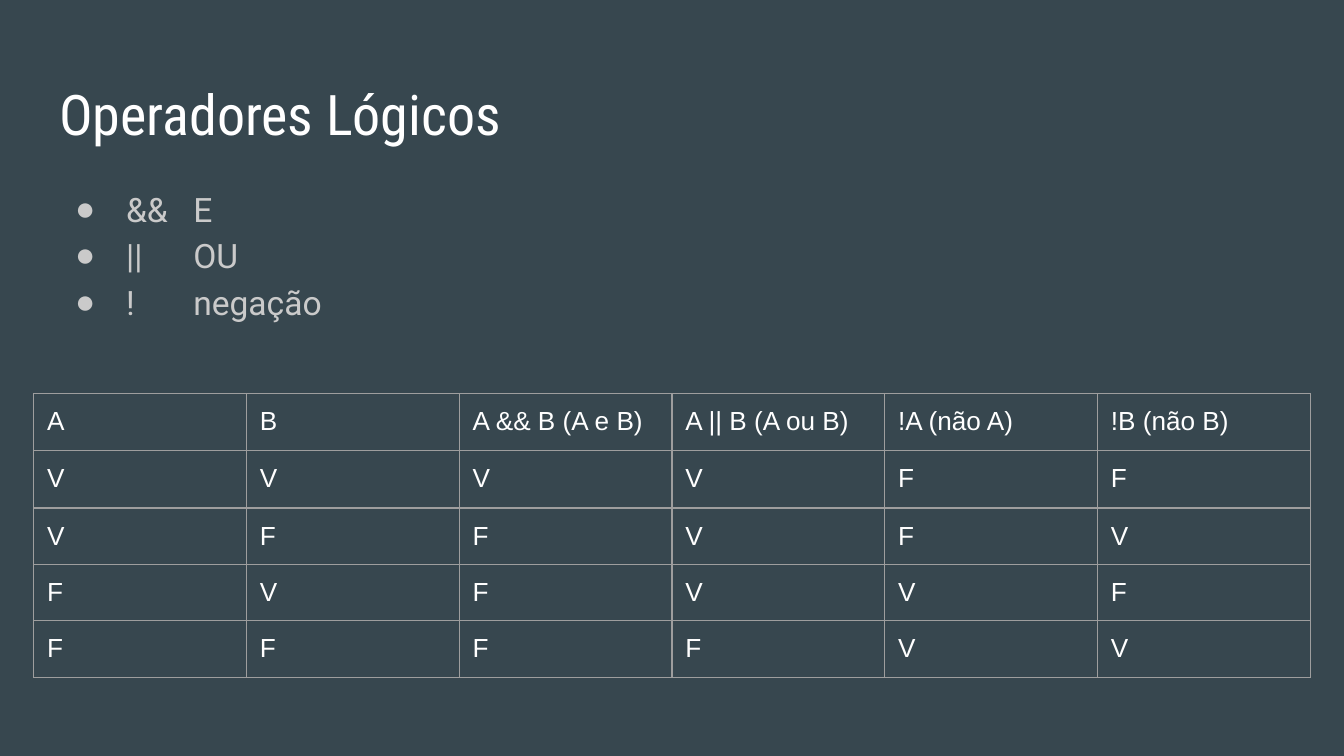
from dataclasses import dataclass
from itertools import product

from lxml.etree import SubElement
from pptx import Presentation
from pptx.dml.color import RGBColor
from pptx.enum.text import MSO_ANCHOR, MSO_AUTO_SIZE, PP_ALIGN
from pptx.oxml.ns import qn
from pptx.util import Inches, Pt


@dataclass(frozen=True)
class Theme:
    background: str = "37474F"
    light: str = "FFFFFF"
    muted: str = "CACACA"
    border: str = "9E9E9E"
    title_font: str = "Roboto Condensed"
    body_font: str = "Roboto"
    bullet_font: str = "Arial"
    table_font: str = "Arial"
    title_size: int = 30
    body_size: int = 18
    table_size: int = 14
    border_width: float = 0.75


theme = Theme()


def style_paragraph(para, font, size, color):
    para.alignment = PP_ALIGN.LEFT
    for span in para.runs:
        span.font.name = font
        span.font.size = Pt(size)
        span.font.color.rgb = RGBColor.from_string(color)


def set_frame(frame):
    frame.word_wrap = True
    frame.auto_size = MSO_AUTO_SIZE.NONE
    frame.vertical_anchor = MSO_ANCHOR.TOP
    frame.margin_left = frame.margin_right = Inches(0.1)
    frame.margin_top = frame.margin_bottom = Inches(0.1)


# Deck and page, in 16:9
deck = Presentation()
deck.slide_width = Inches(10)
deck.slide_height = deck.slide_width * 9 // 16
page = deck.slides.add_slide(deck.slide_layouts[5])
page.background.fill.solid()
page.background.fill.fore_color.rgb = RGBColor.from_string(theme.background)
margin = Inches(0.34)

# Title
title = page.shapes.title
title.left, title.top = margin, Inches(0.49)
title.width, title.height = deck.slide_width - 2 * margin, Inches(0.63)
set_frame(title.text_frame)
title.text_frame.text = "Operadores Lógicos"
style_paragraph(title.text_frame.paragraphs[0], theme.title_font,
                theme.title_size, theme.light)

# Operator list
operators = [("&&", "E"), ("||", "OU"), ("!", "negação")]
box = page.shapes.add_textbox(margin, Inches(1.26), Inches(4.13), Inches(3.74))
set_frame(box.text_frame)
box.text_frame.text = "\n".join("\t".join(pair) for pair in operators)
for para in box.text_frame.paragraphs:
    style_paragraph(para, theme.body_font, theme.body_size, theme.muted)
    para.line_spacing = 1.15
    properties = para._p.get_or_add_pPr()
    properties.set("marL", str(Inches(0.5)))
    properties.set("indent", str(-Inches(0.38)))
    bullet_color = SubElement(properties, qn("a:buClr"))
    SubElement(bullet_color, qn("a:srgbClr"), val=theme.muted)
    SubElement(properties, qn("a:buFont"), typeface=theme.bullet_font)
    SubElement(properties, qn("a:buChar"), char="●")

# Truth table, worked out from every pair of A and B
headers = ["A", "B", "A && B (A e B)", "A || B (A ou B)",
           "!A (não A)", "!B (não B)"]
rows = [headers]
for a, b in product([True, False], repeat=2):
    values = [a, b, a and b, a or b, not a, not b]
    rows.append(["V" if value else "F" for value in values])

table_left, row_height = Inches(0.25), Inches(0.42)
table_width = deck.slide_width - 2 * table_left
table = page.shapes.add_table(len(rows), len(headers), table_left, Inches(2.93),
                              table_width, row_height * len(rows)).table
table.first_row = table.horz_banding = False
table.rows[1].height = Inches(0.43)

for row_index, row in enumerate(rows):
    for column_index, text in enumerate(row):
        cell = table.cell(row_index, column_index)
        cell.text = text
        cell.margin_left = cell.margin_right = Inches(0.1)
        cell.margin_top = cell.margin_bottom = Inches(0.1)
        style_paragraph(cell.text_frame.paragraphs[0], theme.table_font,
                        theme.table_size, theme.light)

        # Borders come before the fill in the cell's properties
        properties = cell._tc.get_or_add_tcPr()
        for side in ("a:lnL", "a:lnR", "a:lnT", "a:lnB"):
            line = SubElement(properties, qn(side), w=str(Pt(theme.border_width)))
            line_fill = SubElement(line, qn("a:solidFill"))
            SubElement(line_fill, qn("a:srgbClr"), val=theme.border)
        cell.fill.background()

deck.save("out.pptx")
